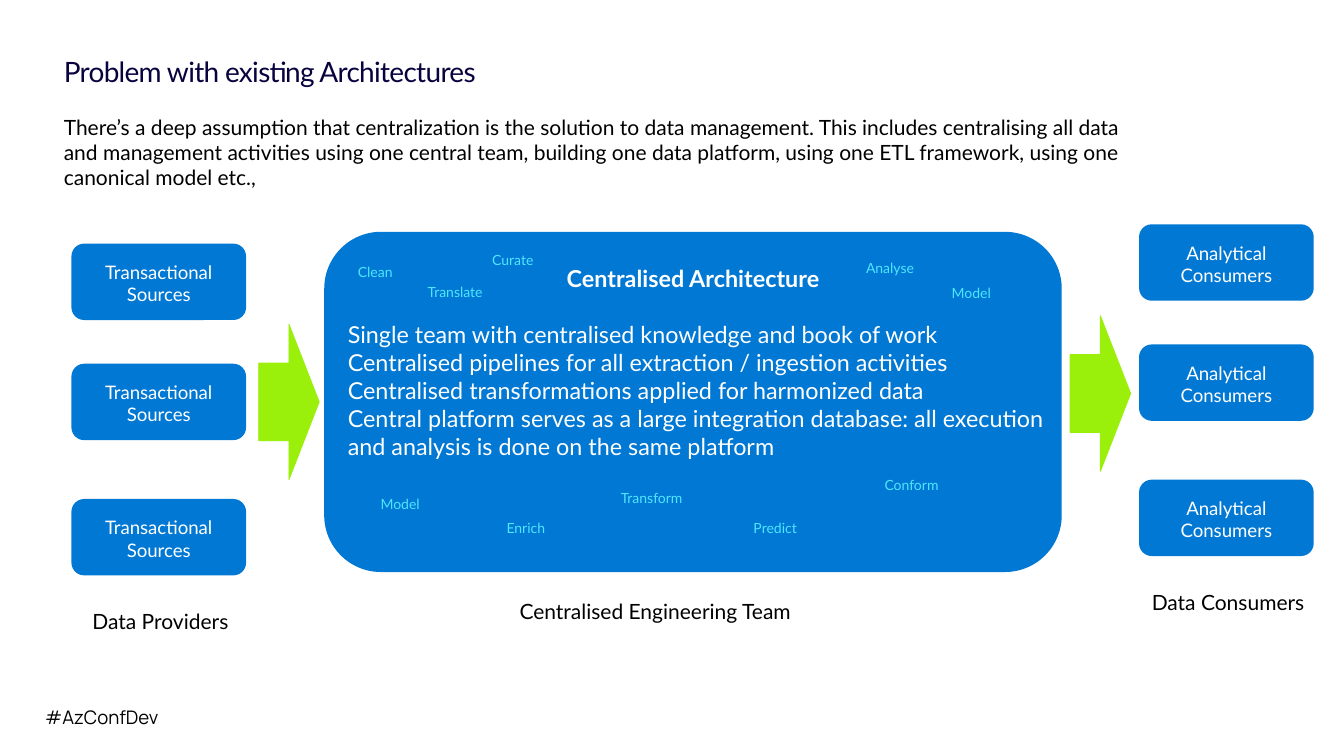
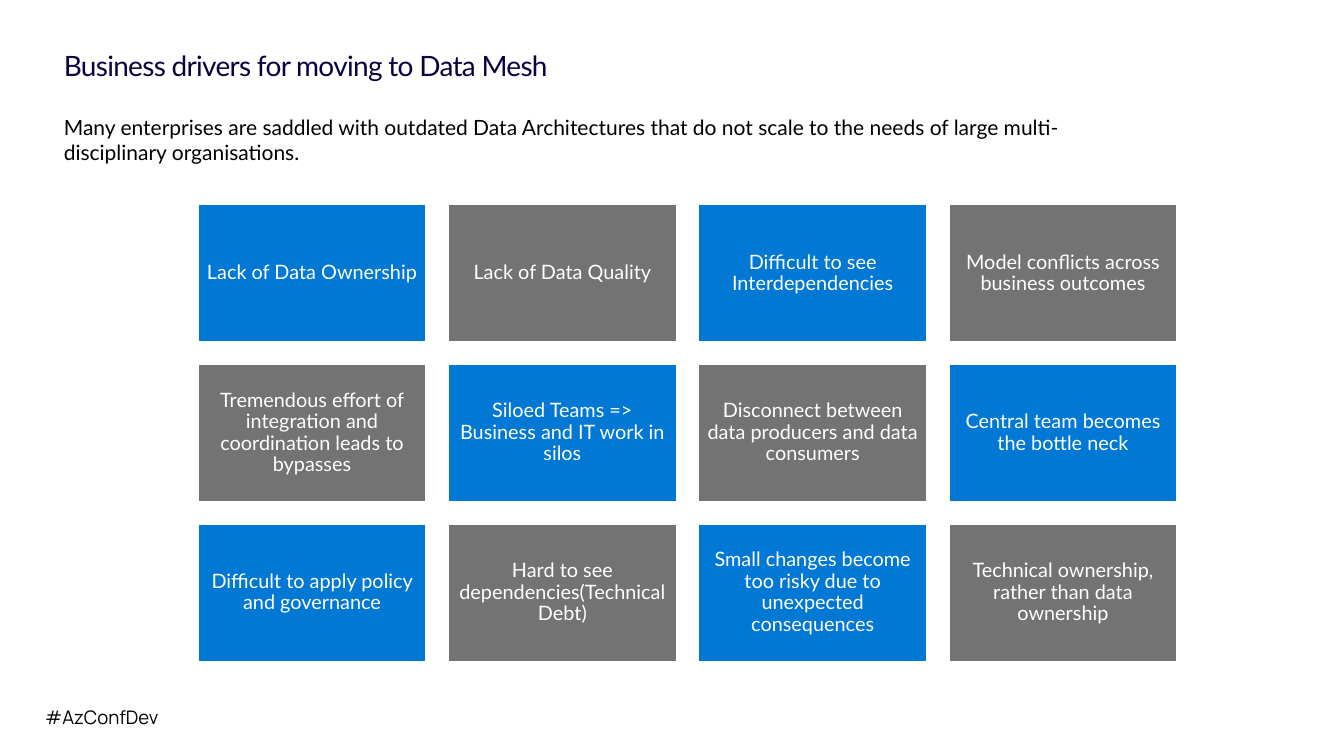
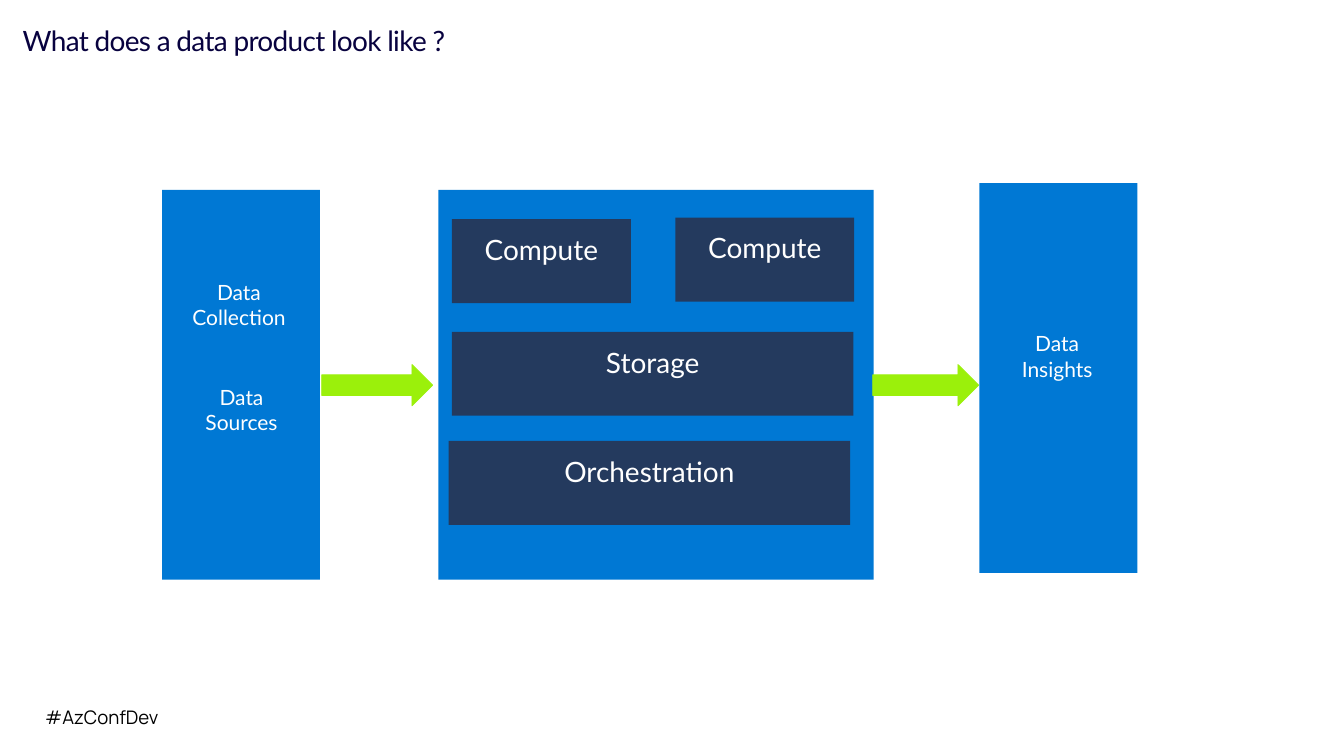
import pptx
import pptx.dml.color
import pptx.enum.shapes
import pptx.enum.text
import pptx.util
from dataclasses import dataclass

SHAPE = pptx.enum.shapes.MSO_SHAPE
ALIGN = pptx.enum.text.PP_ALIGN
ANCHOR = pptx.enum.text.MSO_ANCHOR


@dataclass(frozen=True)
class Theme:
    body_font: str = "Lato"
    footer_font: str = "Manrope"
    ink: str = "000000"
    title_ink: str = "08023F"
    white: str = "FFFFFF"
    blue: str = "0078D4"
    grey: str = "737373"
    navy: str = "243A5E"
    green: str = "9BF00B"
    cyan: str = "50E6FF"
    heading: int = 24
    statement: int = 20
    body: int = 18
    tile: int = 17
    label: int = 16
    keyword: int = 12
    title_spacing: int = -60  # hundredths of a point


THEME = Theme()
WIDTH, HEIGHT = 16, 9
MARGIN = 0.76
NO_INSET = (0, 0)
SHAPE_INSET = (0.2, 0.16)

# Content shared by all slides
FOOTER = "#AzConfDev"

# Content of slide 1
PROBLEM = {
    "title": "Problem with existing Architectures",
    "intro": "There’s a deep assumption that centralization is the solution to data "
             "management. This includes centralising all data and management activities "
             "using one central team, building one data platform, using one ETL framework, "
             "using one canonical model etc.,",
    "heading": "Centralised Architecture",
    "statements": [
        "Single team with centralised knowledge and book of work",
        "Centralised pipelines for all extraction / ingestion activities",
        "Centralised transformations applied for harmonized data",
        "Central platform serves as a large integration database: all execution "
        "and analysis is done on the same platform",
    ],
    "team": "Centralised Engineering Team",
}
# node text, caption, node left, column top, arrow left
NODE_COLUMNS = [
    ("Transactional Sources", "Data Providers", 0.85, 2.9, 3.08),
    ("Analytical Consumers", "Data Consumers", 13.56, 2.67, 12.74),
]
NODE_OFFSETS = (0, 1.43, 3.04)
KEYWORDS = [  # word, left, top
    ("Clean", 4.26, 3.14), ("Translate", 5.09, 3.38), ("Curate", 5.86, 3),
    ("Analyse", 10.31, 3.09), ("Model", 11.33, 3.39), ("Enrich", 6.03, 6.19),
    ("Predict", 8.97, 6.19), ("Conform", 10.53, 5.67), ("Transform", 7.39, 5.83),
    ("Model", 4.53, 5.9),
]

# Content of slide 2
DRIVERS = {
    "title": "Business drivers for moving to Data Mesh",
    "intro": "Many enterprises are saddled with outdated Data Architectures that do not "
             "scale to the needs of large multi-disciplinary organisations.",
    "tiles": [
        ["Lack of Data Ownership", "Lack of Data Quality",
         "Difficult to see Interdependencies", "Model conflicts across business outcomes"],
        ["Tremendous effort of integration and coordination leads to bypasses",
         "Siloed Teams => Business and IT work in silos",
         "Disconnect between data producers and data consumers",
         "Central team becomes the bottle neck"],
        ["Difficult to apply policy and governance",
         "Hard to see dependencies(Technical Debt)",
         "Small changes become too risky due to unexpected consequences",
         "Technical ownership, rather than data ownership"],
    ],
}

# Content of slide 3; boxes are left, top, width, height
PRODUCT_TITLE = "What does a data product look like ?"
STAGES = [(1.93, 2.26, 1.88, 4.64), (11.66, 2.18, 1.88, 4.64), (5.22, 2.26, 5.18, 4.64)]
STAGE_LABELS = [  # paragraphs, left, top
    (["Data Collection"], 2.05, 3.33),
    (["Data", "Sources"], 2.08, 4.58),
    (["Data", "Insights"], 11.79, 3.94),
]
COMPONENTS = [  # text, left, top, width
    ("Compute", 5.38, 2.61, 2.13), ("Compute", 8.04, 2.59, 2.13),
    ("Storage", 5.38, 3.95, 4.78), ("Orchestration", 5.34, 5.25, 4.78),
]
FLOW_ARROWS = [(3.83, 4.34, 1.32, 0.49), (10.39, 4.34, 1.26, 0.49)]


def inches(lengths):
    return [pptx.util.Inches(length) for length in lengths]


def rgb(colour):
    return pptx.dml.color.RGBColor.from_string(colour)


def write(box, texts, size, colour=THEME.white, align=ALIGN.LEFT, anchor=ANCHOR.TOP,
          inset=NO_INSET, font=THEME.body_font, bold=False, line_spacing=1.0):
    """Fill a box with one paragraph for each text."""
    frame = box.text_frame
    frame.word_wrap = True
    frame.vertical_anchor = anchor
    frame.margin_left = frame.margin_right = pptx.util.Inches(inset[0])
    frame.margin_top = frame.margin_bottom = pptx.util.Inches(inset[1])
    for index, text in enumerate(texts):
        para = frame.paragraphs[0] if index == 0 else frame.add_paragraph()
        para.add_run().text = text
        para.alignment = align
        para.line_spacing = line_spacing
        para.font.name = font
        para.font.size = pptx.util.Pt(size)
        para.font.bold = bold
        para.font.color.rgb = rgb(colour)


def add_text(page, place, texts, size, **style):
    box = page.shapes.add_textbox(*inches(place))
    write(box, texts, size, **style)
    return box


def add_block(page, kind, place, fill, line=None, line_width=0.75):
    block = page.shapes.add_shape(kind, *inches(place))
    block.shadow.inherit = False
    block.fill.solid()
    block.fill.fore_color.rgb = rgb(fill)
    if line:
        block.line.color.rgb = rgb(line)
        block.line.width = pptx.util.Pt(line_width)
    else:
        block.line.fill.background()
    return block


def add_arrow(page, place):
    add_block(page, SHAPE.RIGHT_ARROW, place, THEME.green, line=THEME.green)


def add_page(deck, title, title_place, intro=None):
    """Start a slide with its footer, title and optional introduction."""
    page = deck.slides.add_slide(deck.slide_layouts[6])
    add_text(page, (0.44, 8.35, 2.18, 0.37), [FOOTER], THEME.label, colour=THEME.ink,
             font=THEME.footer_font, inset=(0.1, 0.05))
    box = add_text(page, title_place, [title], THEME.heading, colour=THEME.title_ink,
                   anchor=ANCHOR.BOTTOM, line_spacing=0.9)
    span = box.text_frame.paragraphs[0].runs[0]
    span._r.get_or_add_rPr().set("spc", str(THEME.title_spacing))
    if intro:
        add_text(page, (MARGIN, 1.36, 12.72, 0.91), [intro], THEME.body, colour=THEME.ink)
    return page


def build_problem(deck):
    page = add_page(deck, PROBLEM["title"], (MARGIN, 0.69, 5.76, 0.36), PROBLEM["intro"])
    caption = {"colour": THEME.ink, "align": ALIGN.CENTER}

    # Central platform
    add_block(page, SHAPE.ROUNDED_RECTANGLE, (3.86, 2.76, 8.78, 4.05), THEME.blue)
    add_text(page, (5.84, 3.14, 4.82, 0.34), [PROBLEM["heading"]], THEME.statement,
             align=ALIGN.CENTER, bold=True)
    add_text(page, (4.14, 3.81, 8.51, 1.68), PROBLEM["statements"], THEME.statement)
    add_text(page, (5.47, 7.13, 4.66, 0.3), [PROBLEM["team"]], THEME.body, **caption)
    for word, left, top in KEYWORDS:
        add_text(page, (left, top, 0.85, 0.2), [word], THEME.keyword, colour=THEME.cyan)

    # Providers and consumers
    for text, name, left, top, arrow_left in NODE_COLUMNS:
        for offset in NODE_OFFSETS:
            node = add_block(page, SHAPE.ROUNDED_RECTANGLE, (left, top + offset, 2.08, 0.91),
                             THEME.blue)
            write(node, [text], THEME.label, align=ALIGN.CENTER, inset=SHAPE_INSET)
        add_text(page, (left - 0.2, top + 4.35, 2.52, 0.3), [name], THEME.body, **caption)
        add_arrow(page, (arrow_left, top + 0.96 if left < WIDTH / 2 else top + 1.09, 0.72, 1.85))


def build_drivers(deck):
    page = add_page(deck, DRIVERS["title"], (MARGIN, 0.32, 7.07, 0.66), DRIVERS["intro"])

    # Chequered grid of tiles
    left, top, width, height, gap = 2.36, 2.44, 2.71, 1.63, 0.27
    for row, texts in enumerate(DRIVERS["tiles"]):
        for column, text in enumerate(texts):
            place = (left + column * (width + gap), top + row * (height + gap), width, height)
            fill = (THEME.blue, THEME.grey)[(row + column) % 2]
            tile = add_block(page, SHAPE.RECTANGLE, place, fill, THEME.white, 0.85)
            write(tile, [text], THEME.tile, align=ALIGN.CENTER, anchor=ANCHOR.MIDDLE,
                  inset=(0.07, 0.07), line_spacing=0.9)


def build_product(deck):
    page = add_page(deck, PRODUCT_TITLE, (0.27, 0.32, 8.55, 0.36))

    # Stages and their labels
    for place in STAGES:
        add_block(page, SHAPE.RECTANGLE, place, THEME.blue)
    for texts, left, top in STAGE_LABELS:
        add_text(page, (left, top, 1.59, 0.61), texts, THEME.body, align=ALIGN.CENTER)

    # Components of the product
    for text, left, top, width in COMPONENTS:
        component = add_block(page, SHAPE.RECTANGLE, (left, top, width, 1), THEME.navy)
        write(component, [text], THEME.heading, align=ALIGN.CENTER, inset=SHAPE_INSET)

    for place in FLOW_ARROWS:
        add_arrow(page, place)


def main():
    deck = pptx.Presentation()
    deck.slide_width, deck.slide_height = inches((WIDTH, HEIGHT))
    for build in (build_problem, build_drivers, build_product):
        build(deck)
    deck.save("out.pptx")


if __name__ == "__main__":
    main()
